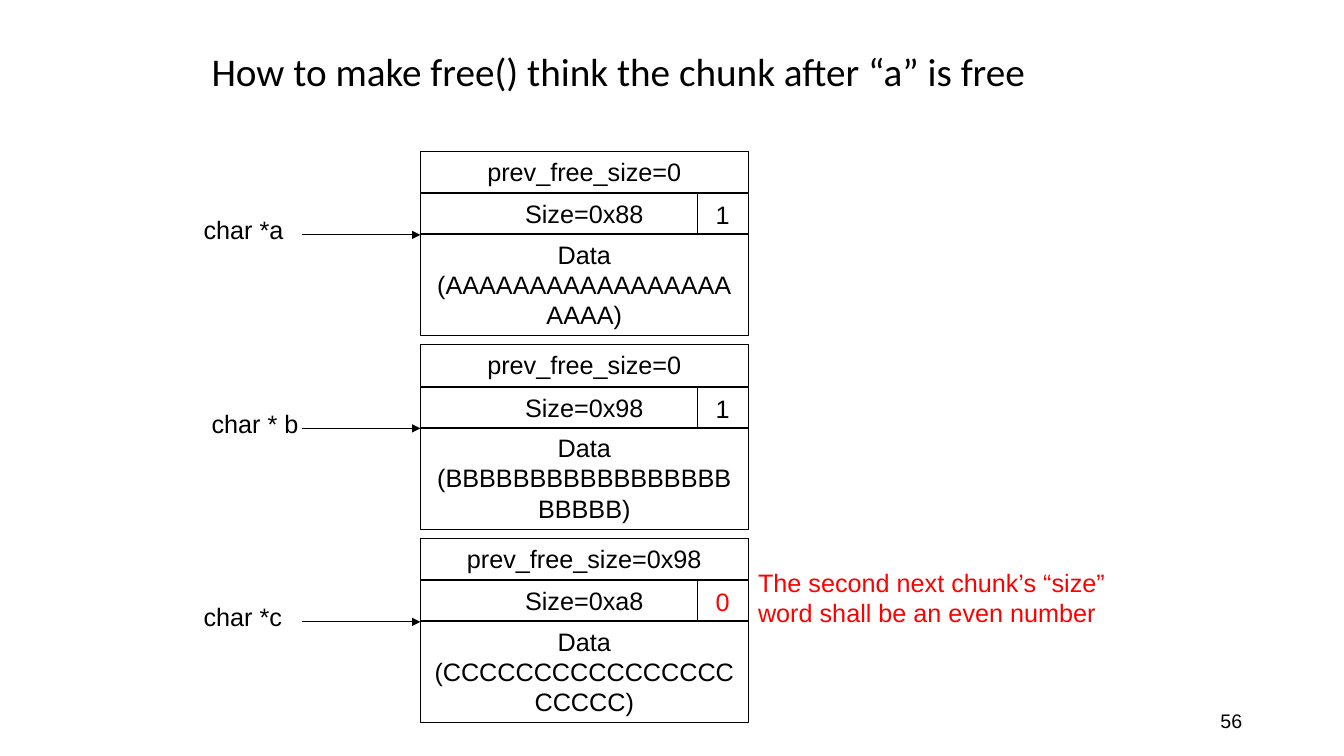
from lxml import etree
from pptx import Presentation, util as u
from pptx.dml.color import RGBColor
from pptx.enum import shapes, text
from pptx.oxml.ns import qn

BLACK = RGBColor(0, 0, 0)
RED = RGBColor(255, 0, 0)
PX = 9144  # EMU per px, 100 px to the inch
LEFT, WIDE, ROW, DATA = 417, 325, 41, 101
SPLIT, STEP, TOP = 692, 192, 150

CHUNKS = [
    ("char *a", 192, "0", "0x88", "1", "A" * 21),
    ("char * b", 200, "0", "0x98", "1", "B" * 22),
    ("char *c", 192, "0x98", "0xa8", "0", "C" * 21),
]


class Deck:
    def __init__(self, wide, high):
        self.prs = Presentation()
        self.prs.slide_width = u.Emu(wide * PX)
        self.prs.slide_height = u.Emu(high * PX)
        self.slide = self.prs.slides.add_slide(self.prs.slide_layouts[6])
        self.line = u.Pt(0.75)

    def fill_text(self, shape, words, size, color, font, align, middle, grow):
        frame = shape.text_frame
        frame.word_wrap = True
        kind = text.MSO_AUTO_SIZE
        frame.auto_size = kind.SHAPE_TO_FIT_TEXT if grow else kind.NONE
        anchor = text.MSO_ANCHOR
        frame.vertical_anchor = anchor.MIDDLE if middle else anchor.TOP
        para = frame.paragraphs[0]
        para.alignment = align
        run = para.add_run()
        run.text = words
        run.font.size = u.Pt(size)
        run.font.name = font
        run.font.color.rgb = color
        return para

    def label(self, box, words, size=18, color=BLACK, font="Arial",
              align=text.PP_ALIGN.LEFT, middle=False, grow=True):
        shape = self.slide.shapes.add_textbox(*[n * PX for n in box])
        return self.fill_text(shape, words, size, color, font,
                              align, middle, grow)

    def cell(self, box, words, grow=True):
        shape = self.slide.shapes.add_shape(
            shapes.MSO_SHAPE.RECTANGLE, *[n * PX for n in box])
        shape.shadow.inherit = False
        shape.fill.background()
        shape.line.color.rgb = BLACK
        shape.line.width = self.line
        self.fill_text(shape, words, 18, BLACK, "Arial",
                       text.PP_ALIGN.CENTER, False, grow)

    def rule(self, ends, arrow=False):
        link = self.slide.shapes.add_connector(
            shapes.MSO_CONNECTOR.STRAIGHT, *[n * PX for n in ends])
        link.line.color.rgb = BLACK
        link.line.width = self.line
        props = link._element.spPr
        if arrow:
            tail = etree.SubElement(props.find(qn("a:ln")), qn("a:tailEnd"))
            tail.set("type", "triangle")
        etree.SubElement(props, qn("a:effectLst"))

    def chunk(self, top, name, left, prev, size, flag, data):
        """Draw one heap chunk and the pointer to its data."""
        mid, low = top + 42, top + 83
        self.cell((LEFT, top, WIDE, ROW), f"prev_free_size={prev}")
        self.cell((LEFT, mid, WIDE, ROW), f"Size={size}")
        self.rule((SPLIT, mid, SPLIT, low))
        self.label((700, mid + 1, 50, 40), flag,
                   color=BLACK if flag == "1" else RED)
        self.cell((LEFT, low - 1, WIDE, DATA), f"Data ({data})", grow=False)
        self.label((left, low - 25, 108, 40), name)
        self.rule((300, low, LEFT, low), arrow=True)


def main():
    deck = Deck(1333, 750)
    title = deck.label((200, 30, 900, 87),
                       "How to make free() think the chunk after “a” is free",
                       size=28, font="Calibri", middle=True, grow=False)
    title.line_spacing = 0.9
    for i, parts in enumerate(CHUNKS):
        deck.chunk(TOP + i * STEP, *parts)
    deck.label((742, 558, 392, 71),
               "The second next chunk’s “size” word shall be an even number",
               color=RED)
    deck.label((942, 695, 300, 40), "56", size=14,
               align=text.PP_ALIGN.RIGHT, middle=True, grow=False)
    deck.prs.save("out.pptx")


if __name__ == "__main__":
    main()
